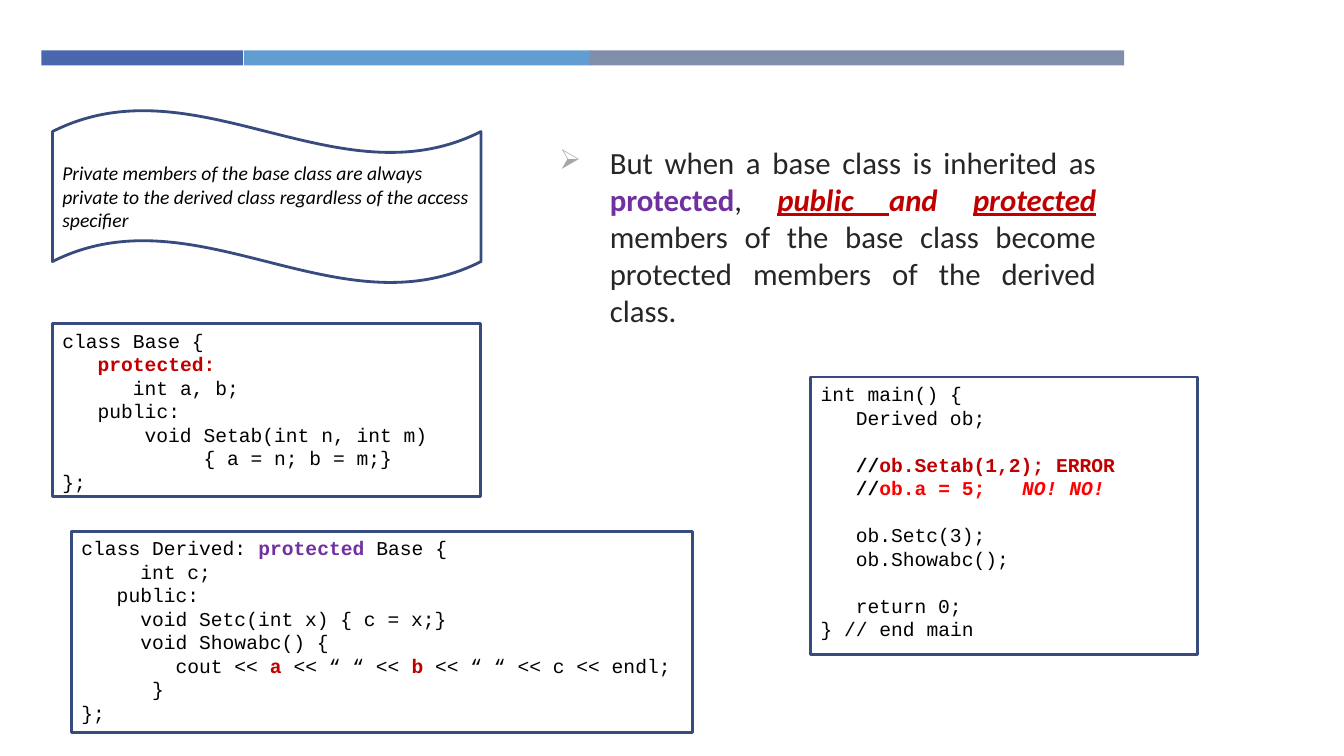
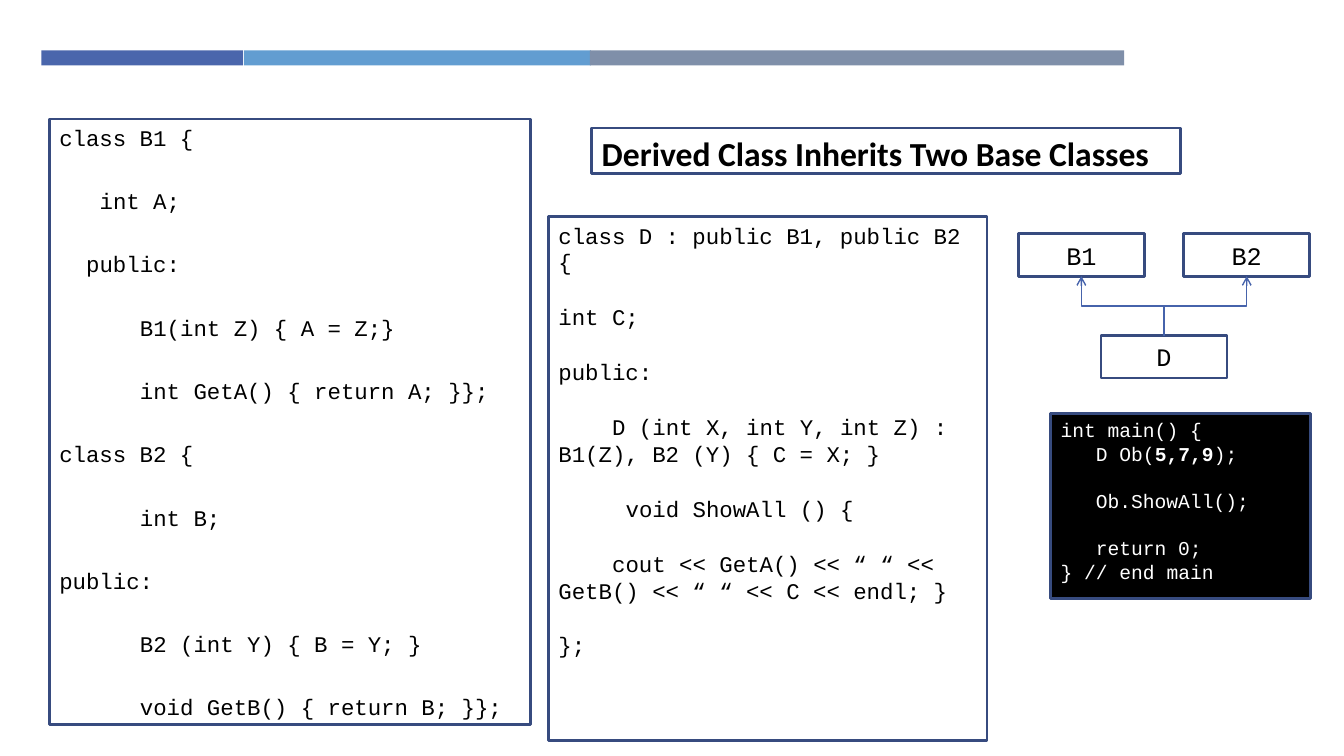
from lxml.etree import SubElement
from pptx import Presentation
from pptx.dml.color import RGBColor
from pptx.enum.shapes import MSO_CONNECTOR as Link, MSO_SHAPE as Shape
from pptx.enum.text import MSO_ANCHOR as Anchor, PP_ALIGN as Align
from pptx.oxml.ns import qn
from pptx.util import Inches, Pt

# Shared look
BLACK, WHITE = "000000", "FFFFFF"
BORDER, ARROW = "374B7F", "4663AB"
RED, BRIGHT_RED, PURPLE, BODY_GREY = "C00000", "FF0000", "7030A0", "262626"
BANDS = [(0.41, 2, "4A66AC"), (2.42, 3.44, "629DD1"), (5.85, 5.3, "7F8FA9")]
CODE_FONT, TEXT_FONT = "Courier New", "Calibri"
CHAR_RATIO = 0.6    # width of a code character relative to its size
LINE_RATIO = 1.2    # height of a code line relative to its size
TAB_COLUMN = 18     # column where a remark after code starts


def rgb(hex_color):
    return RGBColor.from_string(hex_color)


def add_run(paragraph, text, size=14, font=CODE_FONT, color=BLACK,
            bold=False, italic=False, underline=False):
    run = paragraph.add_run()
    run.text = text
    style = run.font
    style.size, style.name = Pt(size), font
    style.bold, style.italic, style.underline = bold, italic, underline
    style.color.rgb = rgb(color)


def write(frame, lines, align=Align.LEFT, before=0, after=0, **style):
    """A line is a string or a list of (text, format); "" leaves a gap."""
    frame.word_wrap = True
    size = style.get("size", 14)
    paragraph, gap = frame.paragraphs[0], 0
    for line in lines:
        if not line:
            gap += size * LINE_RATIO
            continue
        if paragraph.runs:
            paragraph = frame.add_paragraph()
        runs = [(line, {})] if isinstance(line, str) else line
        paragraph.alignment = align
        paragraph.space_before, paragraph.space_after = Pt(before + gap), Pt(after)
        gap = 0

        # Leading spaces of code become a first-line indent
        first, first_format = runs[0]
        code = first.lstrip(" ")
        properties = paragraph._p.get_or_add_pPr()
        column = Pt(size * CHAR_RATIO)
        properties.set("marL", "0")
        properties.set("indent", str((len(first) - len(code)) * column))
        if any("\t" in text for text, _ in runs):
            stops = SubElement(properties, qn("a:tabLst"))
            SubElement(stops, qn("a:tab"), pos=str(TAB_COLUMN * column), algn="l")
        for text, extra in [(code, first_format)] + runs[1:]:
            add_run(paragraph, text, **{**style, **extra})


def add_panel(slide, x, y, width, height, lines=(), kind=Shape.RECTANGLE,
              fill=None, border=BORDER, anchor=Anchor.TOP, **style):
    panel = slide.shapes.add_shape(
        kind, Inches(x), Inches(y), Inches(width), Inches(height))
    panel.shadow.inherit = False
    if fill:
        panel.fill.solid()
        panel.fill.fore_color.rgb = rgb(fill)
    else:
        panel.fill.background()
    if border:
        panel.line.color.rgb = rgb(border)
        panel.line.width = Pt(2)
    else:
        panel.line.fill.background()
    panel.text_frame.vertical_anchor = anchor
    write(panel.text_frame, lines, **style)


def add_bullet(slide, x, y, width, height, runs, **style):
    box = slide.shapes.add_textbox(
        Inches(x), Inches(y), Inches(width), Inches(height))
    write(box.text_frame, [runs], **style)
    properties = box.text_frame.paragraphs[0]._p.get_or_add_pPr()
    properties.set("marL", str(Inches(0.5)))
    properties.set("indent", str(Inches(-0.5)))
    tint = SubElement(properties, qn("a:buClr"))
    SubElement(tint, qn("a:srgbClr"), val="A6A6A6")
    SubElement(properties, qn("a:buSzPct"), val="90000")
    SubElement(properties, qn("a:buChar"), char="➢")


def add_inheritance_arrow(slide, x1, y1, x2, y2):
    """Elbow that leaves upwards: a horizontal elbow turned by 90 degrees."""
    x, y = (x1 + x2) / 2, (y1 + y2) / 2
    half_rise, half_run = (y1 - y2) / 2, (x2 - x1) / 2
    arrow = slide.shapes.add_connector(
        Link.ELBOW, Inches(x + half_rise), Inches(y + half_run),
        Inches(x - half_rise), Inches(y - half_run))
    arrow.line.color.rgb = rgb(ARROW)
    arrow.line.width = Pt(1)
    properties = arrow._element.spPr
    properties.find(qn("a:xfrm")).set("rot", str(90 * 60000))
    SubElement(properties.find(qn("a:ln")), qn("a:tailEnd"), type="arrow")
    SubElement(properties, qn("a:effectLst"))


def new_slide(deck):
    slide = deck.slides.add_slide(deck.slide_layouts[6])
    for x, width, color in BANDS:
        add_panel(slide, x, 0.5, width, 0.15, fill=color, border=None)
    return slide


def protected_slide(deck):
    slide = new_slide(deck)
    red = dict(color=RED, bold=True)
    purple = dict(color=PURPLE, bold=True)
    stress = dict(red, italic=True)
    error = dict(color=BRIGHT_RED, bold=True)

    # Rule
    add_bullet(slide, 5.45, 1.38, 5.52, 2, [
        ("But when a base class is inherited as ", {}),
        ("protected", purple), (", ", {}),
        ("public ", dict(stress, underline=True)), ("and ", stress),
        ("protected", dict(stress, underline=True)),
        (" members of the base class become protected members of the "
         "derived class.", {}),
    ], size=22, font=TEXT_FONT, color=BODY_GREY, align=Align.JUSTIFY, before=20)

    # Derived class
    add_panel(slide, 0.71, 5.27, 6.16, 2, [
        [("class Derived: ", {}), ("protected ", purple), ("Base {", {})],
        "     int c;",
        "   public:",
        "     void Setc(int x) { c = x;}",
        "     void Showabc() {",
        [("        cout << ", {}), ("a", red), (" << “ “ << ", {}),
         ("b", red), (" << “ “ << c << endl;", {})],
        "      }",
        "};",
    ])

    # Main program
    add_panel(slide, 8.04, 3.74, 3.84, 2.75, [
        "int main() {",
        "   Derived ob;",
        "",
        [("   //", dict(bold=True)), ("ob.Setab(1,2); ERROR", red)],
        [("   //", dict(bold=True)), ("ob.a = 5;\t", error),
         ("NO! NO!", dict(error, italic=True))],
        "",
        "   ob.Setc(3);",
        "   ob.Showabc();",
        "",
        "   return 0;",
        "} // end main",
    ], fill=WHITE)

    # Base class and note on private members
    add_panel(slide, 0.52, 3.21, 4.25, 1.72, [
        "class Base {",
        [("   protected:", red)],
        "      int a, b;",
        "   public:",
        "       void Setab(int n, int m)",
        "            { a = n; b = m;}",
        "};",
    ])
    add_panel(slide, 0.52, 1.09, 4.25, 1.72, [
        "Private members of the base class are always private to the "
        "derived class regardless of the access specifier",
    ], kind=Shape.WAVE, anchor=Anchor.MIDDLE, font=TEXT_FONT, italic=True)


def two_bases_slide(deck):
    slide = new_slide(deck)

    # Derived class
    add_panel(slide, 5.44, 2.15, 4.35, 5.2, [
        "class D : public B1, public B2 {",
        "int C;",
        "public:",
        "    D (int X, int Y, int Z) : B1(Z), B2 (Y) { C = X; }",
        "     void ShowAll () {",
        "    cout << GetA() << “ “ << GetB() << “ “ << C << endl; }",
        "};",
    ], size=16, before=20)

    # Main program
    add_panel(slide, 10.42, 4.1, 2.58, 1.84, [
        "int main() {",
        [("   D Ob(", {}), ("5,7,9", dict(bold=True)), (");", {})],
        "",
        "   Ob.ShowAll();",
        "",
        "   return 0;",
        "} // end main",
    ], fill=BLACK, color=WHITE)

    # Heading
    add_panel(slide, 5.87, 1.27, 5.84, 0.45,
              ["Derived Class Inherits Two Base Classes"],
              fill=WHITE, size=24, font=TEXT_FONT, bold=True)

    # Class diagram
    width, height, base_top, derived_top = 1.25, 0.42, 2.32, 3.33
    derived_x, offset = 10.92, 0.82
    for name, x, y in [("D", derived_x, derived_top),
                       ("B1", derived_x - offset, base_top),
                       ("B2", derived_x + offset, base_top)]:
        add_panel(slide, x, y, width, height, [name], size=18,
                  align=Align.CENTER, anchor=Anchor.MIDDLE)
    stem = derived_x + width / 2
    for base in (stem - offset, stem + offset):
        add_inheritance_arrow(slide, stem, derived_top, base, base_top + height)

    # Base classes
    add_panel(slide, 0.49, 1.18, 4.77, 6.01, [
        "class B1 {",
        "   int A;",
        "  public:",
        "      B1(int Z) { A = Z;}",
        "      int GetA() { return A; }};",
        "class B2 {",
        "      int B;",
        "public:",
        "      B2 (int Y) { B = Y; }",
        "      void GetB() { return B; }};",
    ], size=16, before=20, after=6)


def main():
    deck = Presentation()
    deck.slide_width, deck.slide_height = Inches(13.33), Inches(7.5)
    protected_slide(deck)
    two_bases_slide(deck)
    deck.save("out.pptx")


main()
